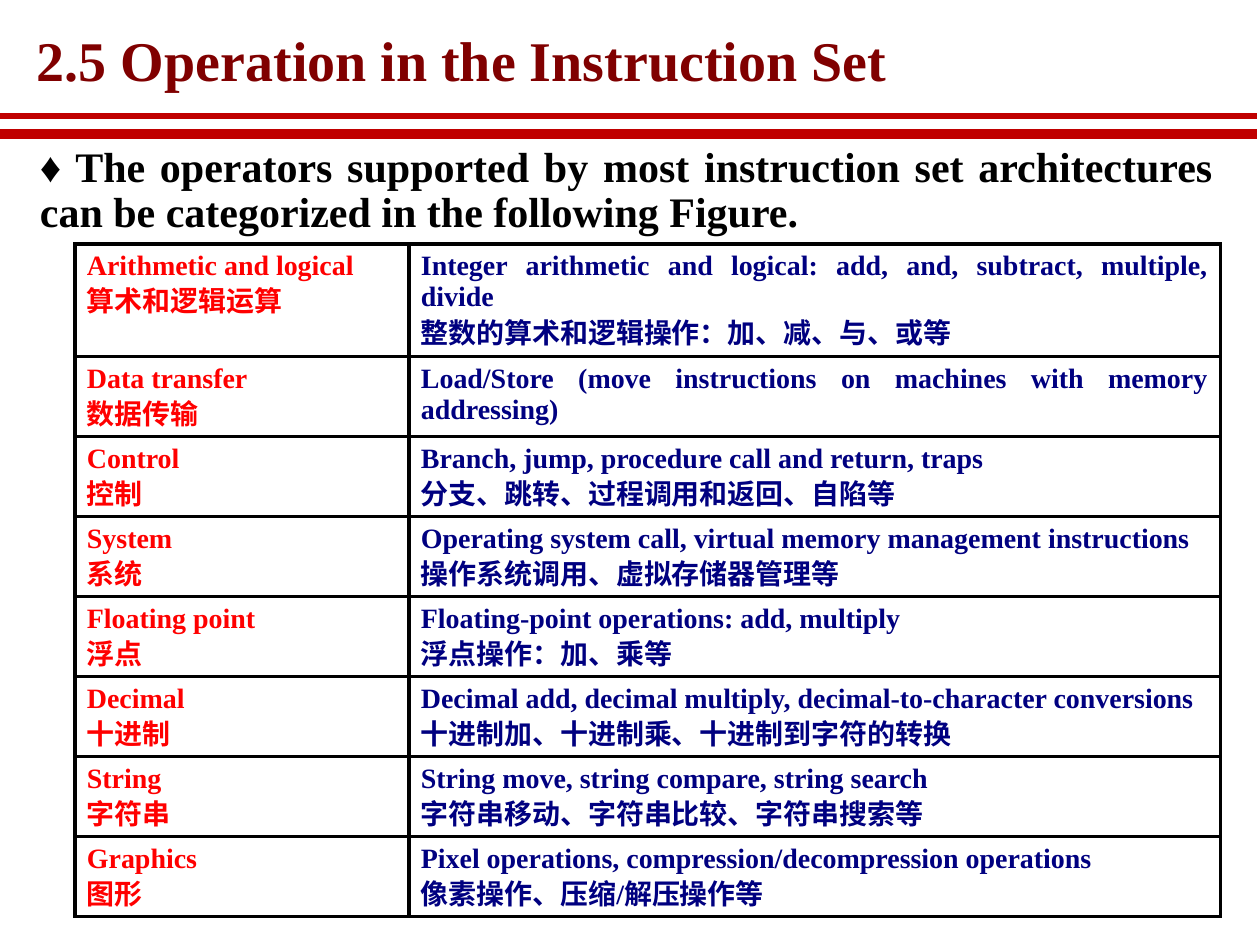
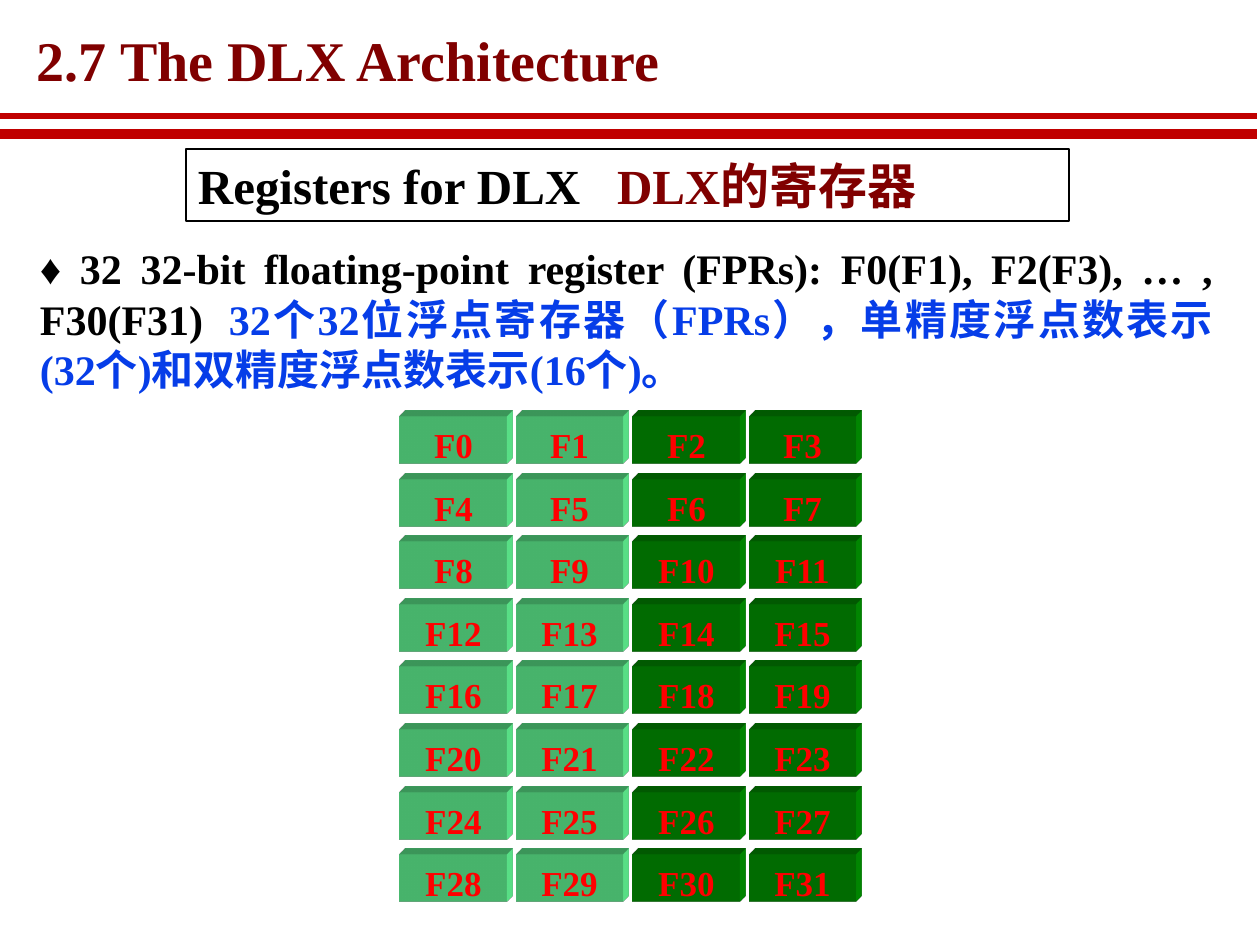
from dataclasses import dataclass

from lxml import etree
from pptx import Presentation
from pptx.dml.color import RGBColor
from pptx.enum.shapes import MSO_CONNECTOR, MSO_SHAPE
from pptx.enum.text import MSO_ANCHOR, PP_ALIGN
from pptx.oxml.ns import qn
from pptx.util import Pt

LEFT, CENTER, JUSTIFY = PP_ALIGN.LEFT, PP_ALIGN.CENTER, PP_ALIGN.JUSTIFY
TOP, MIDDLE = MSO_ANCHOR.TOP, MSO_ANCHOR.MIDDLE
RECT, STRAIGHT = MSO_SHAPE.RECTANGLE, MSO_CONNECTOR.STRAIGHT
EMU_PER_PX = 914400 / 126


@dataclass(frozen=True)
class Theme:
    font: str = "Times New Roman"
    title: str = "800000"
    band: str = "C00000"
    ink: str = "000000"
    red: str = "FF0000"
    navy: str = "000080"
    blue: str = "063DE8"
    light: str = "66FF99"
    dark: str = "009900"
    title_size: int = 32
    head_size: int = 28
    body_size: int = 24
    block_size: int = 20
    cell_size: int = 16


THEME = Theme()

OPERATORS = [
    (("Arithmetic and logical", "算术和逻辑运算"),
     ("Integer arithmetic and logical: add, and, subtract, multiple, divide",
      "整数的算术和逻辑操作：加、减、与、或等")),
    (("Data transfer", "数据传输"),
     ("Load/Store (move instructions on machines with memory addressing)",)),
    (("Control", "控制"),
     ("Branch, jump, procedure call and return, traps",
      "分支、跳转、过程调用和返回、自陷等")),
    (("System", "系统"),
     ("Operating system call, virtual memory management instructions",
      "操作系统调用、虚拟存储器管理等")),
    (("Floating point", "浮点"),
     ("Floating-point operations: add, multiply", "浮点操作：加、乘等")),
    (("Decimal", "十进制"),
     ("Decimal add, decimal multiply, decimal-to-character conversions",
      "十进制加、十进制乘、十进制到字符的转换")),
    (("String", "字符串"),
     ("String move, string compare, string search",
      "字符串移动、字符串比较、字符串搜索等")),
    (("Graphics", "图形"),
     ("Pixel operations, compression/decompression operations",
      "像素操作、压缩/解压操作等")),
]


# Basic helpers
def px(n):
    return round(n * EMU_PER_PX)


def box(*sides):
    return [px(n) for n in sides]


def rgb(code):
    return RGBColor.from_string(code)


def add_node(parent, tag, **attrs):
    return etree.SubElement(parent, qn(f"a:{tag}"), **attrs)


def style(run, size, color):
    font = run.font
    font.size, font.bold = Pt(size), True
    font.color.rgb = rgb(color)
    font.name = THEME.font


def format_para(para, size, colors, align, pitch):
    para.alignment = align
    para.line_spacing = Pt(pitch)
    para.space_before = Pt(0)
    for run, color in zip(para.runs, colors):
        style(run, size, color)


def set_frame(frame, margins, anchor=TOP):
    frame.word_wrap = True
    frame.vertical_anchor = anchor
    (frame.margin_left, frame.margin_top,
     frame.margin_right, frame.margin_bottom) = box(*margins)


def write_runs(para, parts, size, align, pitch):
    for text, _ in parts:
        para.add_run().text = text
    format_para(para, size, [color for _, color in parts], align, pitch)


# Shared parts
def add_rule(slide, y, width):
    rule = slide.shapes.add_connector(STRAIGHT, *box(0, y, 1257, y))
    rule.line.color.rgb = rgb(THEME.band)
    rule.line.width = Pt(width)
    add_node(rule._element.spPr, "effectLst")


def add_page(deck, text, width):
    slide = deck.slides.add_slide(deck.slide_layouts[5])
    title = slide.shapes.title
    title.left, title.top, title.width, title.height = box(28, 33, width, 66)
    frame = title.text_frame
    frame.text = text
    set_frame(frame, (9, 4, 9, 4))
    format_para(frame.paragraphs[0], THEME.title_size, [THEME.title], LEFT, 32)
    add_rule(slide, 134, 6)
    add_rule(slide, 116, 3)
    return slide


def add_body(slide, y, height, parts, pitch):
    frame = slide.shapes.add_textbox(*box(28, y, 1197, height)).text_frame
    set_frame(frame, (12, 6, 12, 6))
    write_runs(frame.paragraphs[0], parts, THEME.body_size, JUSTIFY, pitch)


# Table of operators
def add_border(cell):
    props = cell._tc.get_or_add_tcPr()
    for side in ("lnL", "lnR", "lnT", "lnB"):
        line = add_node(props, side, w=str(Pt(2)))
        add_node(add_node(line, "solidFill"), "srgbClr", val=THEME.ink)


def fill_cell(cell, lines, color):
    add_border(cell)
    cell.fill.background()
    (cell.margin_left, cell.margin_top,
     cell.margin_right, cell.margin_bottom) = box(12, 6, 13, 2)
    frame = cell.text_frame
    frame.text = "\n".join(lines)
    for i, para in enumerate(frame.paragraphs):
        format_para(para, THEME.cell_size, [color], JUSTIFY, 18)
        if i:
            para.space_before = Pt(4)


def add_table(slide):
    frame = slide.shapes.add_table(len(OPERATORS), 2, *box(75, 244, 1146, 673))
    table = frame.table
    table.first_row = table.horz_banding = False
    for col, width in zip(table.columns, (334, 812)):
        col.width = px(width)
    for i, pair in enumerate(OPERATORS):
        table.rows[i].height = px(80 if i else 113)
        for j, color in enumerate((THEME.red, THEME.navy)):
            fill_cell(table.cell(i, j), pair[j], color)


# Register blocks
def extrude(shape, color):
    props = shape._element.spPr
    scene = add_node(props, "scene3d")
    add_node(scene, "camera", prst="legacyObliqueTopRight")
    add_node(scene, "lightRig", rig="legacyFlat3", dir="b")
    solid = add_node(props, "sp3d", extrusionH=str(px(17)),
                     prstMaterial="legacyMatte")
    for bevel in ("bevelT", "bevelB"):
        add_node(solid, bevel, w="13500", h="13500", prst="angle")
    add_node(add_node(solid, "extrusionClr"), "srgbClr", val=color)


def add_block(slide, x, y, text, color):
    block = slide.shapes.add_shape(RECT, *box(x, y, 107, 47))
    block.shadow.inherit = False
    block.fill.solid()
    block.fill.fore_color.rgb = rgb(color)
    block.line.fill.background()
    extrude(block, color)
    frame = block.text_frame
    frame.text = text
    set_frame(frame, (0, 10, 0, 0), MIDDLE)
    format_para(frame.paragraphs[0], THEME.block_size, [THEME.red], CENTER, 23)


def add_grid(slide):
    for n in range(32):
        row, col = divmod(n, 4)
        x, y = 400 + round(col * 116.4), 417 + round(row * 62.6)
        add_block(slide, x, y, f"F{n}", THEME.light if col < 2 else THEME.dark)


def add_head(slide):
    head = slide.shapes.add_shape(RECT, *box(186, 149, 883, 72))
    head.shadow.inherit = False
    head.fill.background()
    head.line.color.rgb = rgb(THEME.ink)
    head.line.width = Pt(1)
    frame = head.text_frame
    set_frame(frame, (12, 3, 12, 3), MIDDLE)
    para = frame.paragraphs[0]
    tabs = add_node(para._p.get_or_add_pPr(), "tabLst")
    add_node(tabs, "tab", pos=str(px(419)), algn="l")
    parts = [("Registers for DLX\t", THEME.ink), ("DLX的寄存器", THEME.title)]
    write_runs(para, parts, THEME.head_size, LEFT, 34)


def main():
    deck = Presentation()
    deck.slide_width, deck.slide_height = box(1260, 945)

    # Operators
    slide = add_page(deck, "2.5 Operation in the Instruction Set", 892)
    add_body(slide, 139, 105, [
        ("♦ The operators supported by most instruction set architectures "
         "can be categorized in the following Figure.", THEME.ink)], 26)
    add_table(slide)

    # Registers
    slide = add_page(deck, "2.7 The DLX Architecture", 667)
    add_body(slide, 237, 166, [
        ("♦ 32 32-bit floating-point register (FPRs): "
         "F0(F1), F2(F3), … , F30(F31)  ", THEME.ink),
        ("32个32位浮点寄存器（FPRs），单精度浮点数表示(32个)"
         "和双精度浮点数表示(16个)。", THEME.blue)], 28.8)
    add_head(slide)
    add_grid(slide)

    deck.save("out.pptx")


if __name__ == "__main__":
    main()
